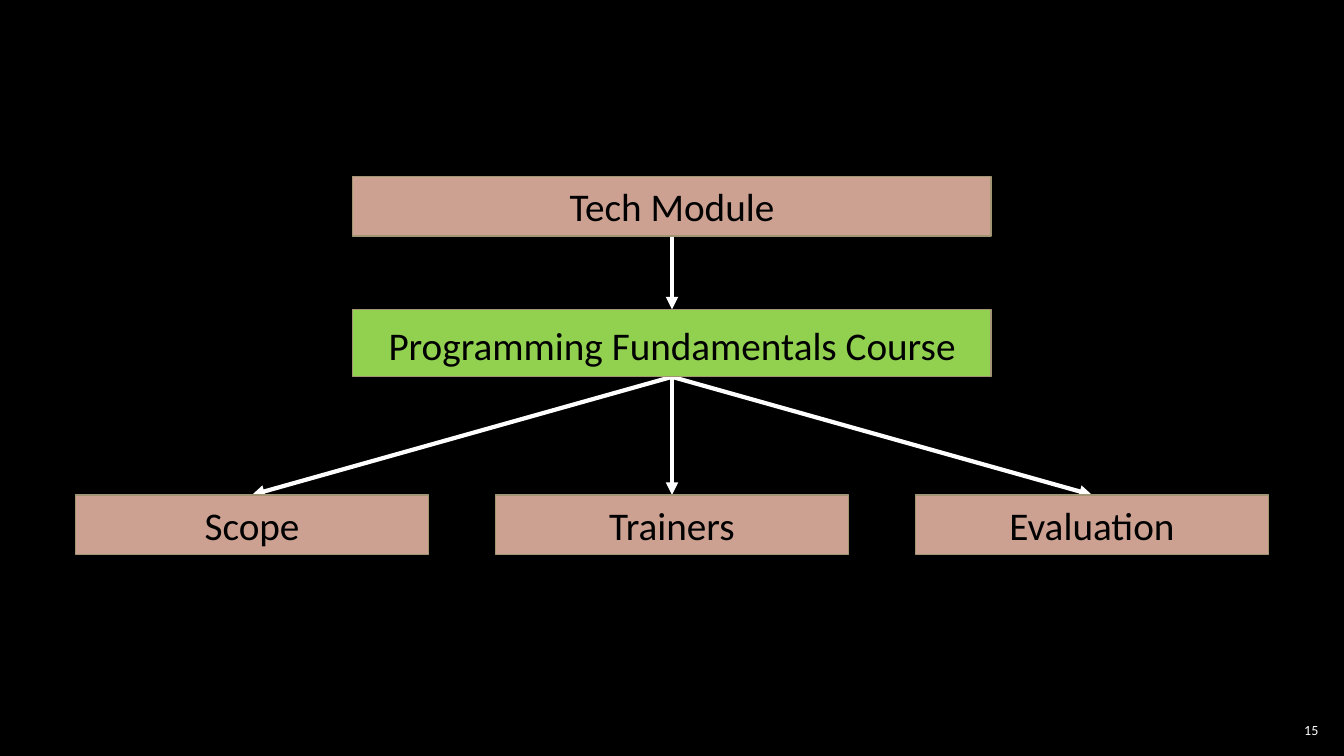
from lxml.etree import SubElement
from pptx import Presentation
from pptx.dml.color import RGBColor
from pptx.enum.shapes import MSO_CONNECTOR, MSO_SHAPE
from pptx.enum.text import MSO_ANCHOR, PP_ALIGN
from pptx.oxml.ns import qn
from pptx.util import Pt

BLACK = RGBColor(0x00, 0x00, 0x00)
WHITE = RGBColor(0xFF, 0xFF, 0xFF)
ROSE = RGBColor(0xCC, 0xA1, 0x92)
GREEN = RGBColor(0x92, 0xD0, 0x50)
BORDER = RGBColor(0xA1, 0x95, 0x74)


class DiagramSlide:
    font_name = "Calibri"

    def __init__(self, presentation):
        self.slide = presentation.slides.add_slide(presentation.slide_layouts[6])
        fill = self.slide.background.fill
        fill.solid()
        fill.fore_color.rgb = BLACK

    def label(self, shape, text, size, color, alignment, anchor, margins):
        frame = shape.text_frame
        frame.word_wrap = True
        frame.vertical_anchor = anchor
        left, top, right, bottom = (Pt(margin) for margin in margins)
        frame.margin_left, frame.margin_top = left, top
        frame.margin_right, frame.margin_bottom = right, bottom
        paragraph = frame.paragraphs[0]
        paragraph.alignment = alignment
        run = paragraph.add_run()
        run.text = text
        run.font.name = self.font_name
        run.font.size = Pt(size)
        run.font.color.rgb = color

    def box(self, text, center, top, width, height, color=ROSE,
            anchor=MSO_ANCHOR.MIDDLE, margins=(7.2, 0, 7.2, 0)):
        shape = self.slide.shapes.add_shape(
            MSO_SHAPE.RECTANGLE, Pt(center - width / 2), Pt(top), Pt(width), Pt(height))
        shape.shadow.inherit = False
        shape.fill.solid()
        shape.fill.fore_color.rgb = color
        shape.line.color.rgb = BORDER
        shape.line.width = Pt(1)
        self.label(shape, text, 28, BLACK, PP_ALIGN.CENTER, anchor, margins)
        shape.text_frame.paragraphs[0].space_after = Pt(3)

    def arrow(self, start_x, start_y, end_x, end_y):
        connector = self.slide.shapes.add_connector(
            MSO_CONNECTOR.STRAIGHT, Pt(start_x), Pt(start_y), Pt(end_x), Pt(end_y))
        connector.line.color.rgb = WHITE
        connector.line.width = Pt(3)
        properties = connector._element.spPr
        SubElement(properties.find(qn("a:ln")), qn("a:tailEnd"), type="triangle")
        SubElement(properties, qn("a:effectLst"))

    def page_number(self, text, left, top, width, height):
        shape = self.slide.shapes.add_textbox(Pt(left), Pt(top), Pt(width), Pt(height))
        self.label(shape, text, 10, WHITE, PP_ALIGN.RIGHT, MSO_ANCHOR.MIDDLE, (2.9,) * 4)


def main():
    presentation = Presentation()
    presentation.slide_width = Pt(960)
    presentation.slide_height = Pt(540)
    diagram = DiagramSlide(presentation)

    middle = 480
    wide, narrow = 456, 252
    box_height, course_height = 42.5, 48.2
    module_top, course_top, topic_top = 126, 221, 353.5
    course_bottom = course_top + course_height
    topics = [(name, middle + 300 * offset)
              for offset, name in enumerate(("Scope", "Trainers", "Evaluation"), -1)]

    diagram.arrow(middle, module_top + box_height, middle, course_top)
    for name, center in topics:
        diagram.arrow(middle, course_bottom, center, topic_top)

    diagram.page_number("15", 910.8, 514.1, 33.8, 15.1)
    diagram.box("Tech Module", middle, module_top, wide, box_height)
    diagram.box("Programming Fundamentals Course", middle, course_top, wide, course_height,
                GREEN, MSO_ANCHOR.TOP, (7.2, 8.6, 7.2, 3.6))
    for name, center in topics:
        diagram.box(name, center, topic_top, narrow, box_height)

    presentation.save("out.pptx")


if __name__ == "__main__":
    main()
